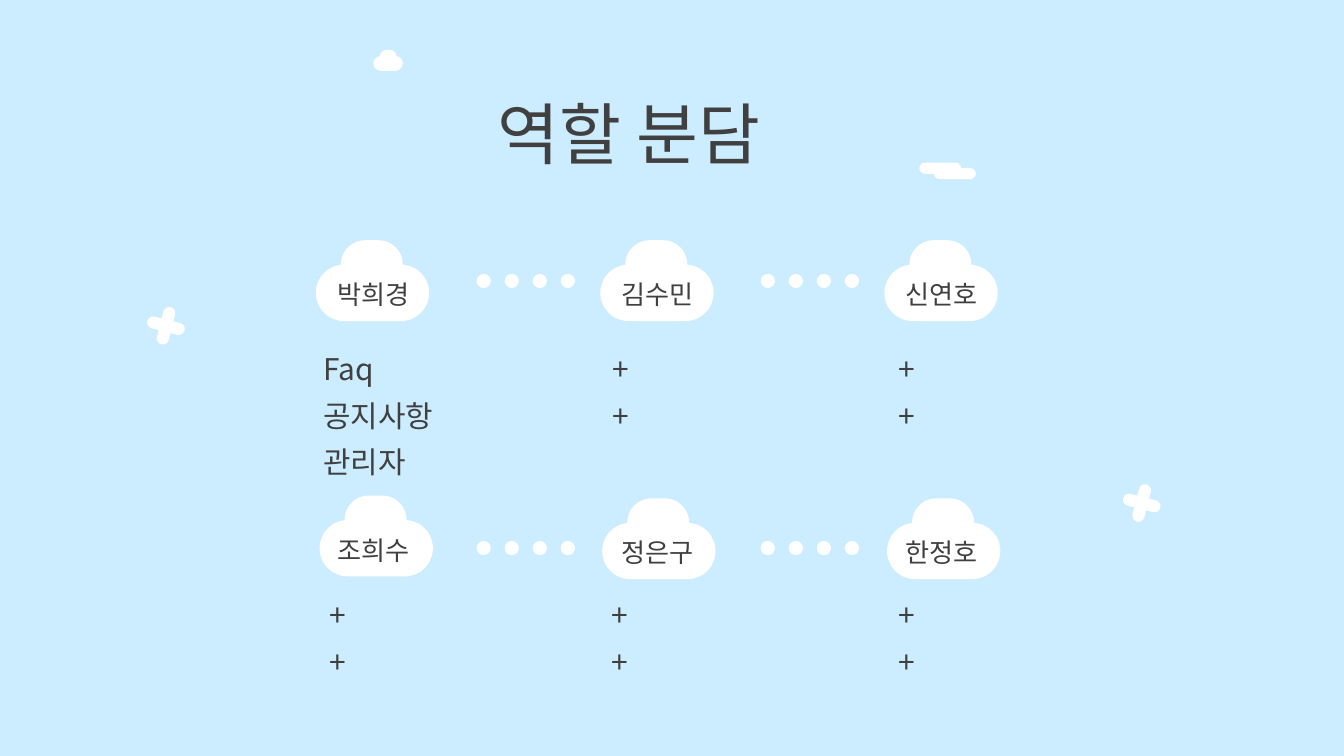
from dataclasses import dataclass

from lxml import etree
from pptx import Presentation
from pptx.dml.color import RGBColor
from pptx.enum.dml import MSO_LINE
from pptx.enum.shapes import MSO_CONNECTOR, MSO_SHAPE
from pptx.enum.text import MSO_AUTO_SIZE, PP_ALIGN
from pptx.oxml.ns import qn
from pptx.util import Pt

ROUNDED = MSO_SHAPE.ROUNDED_RECTANGLE
STRAIGHT = MSO_CONNECTOR.STRAIGHT
ROUND_DOT = MSO_LINE.ROUND_DOT
FIT_TEXT = MSO_AUTO_SIZE.SHAPE_TO_FIT_TEXT
LEFT, CENTER = PP_ALIGN.LEFT, PP_ALIGN.CENTER


@dataclass(frozen=True)
class Theme:
    sky: RGBColor = RGBColor(0xCC, 0xEC, 0xFF)
    cloud: RGBColor = RGBColor(0xFF, 0xFF, 0xFF)
    ink: RGBColor = RGBColor(0x40, 0x40, 0x40)
    font: str = "Noto Sans CJK KR"
    title_size: int = 36
    name_size: int = 14
    task_size: int = 16
    line_spacing: int = 25
    dot_size: float = 7.5


THEME = Theme()

TITLE = "역할 분담"

# Each member: name, cloud position, task list position, tasks
ROWS = [
    {
        "dots_y": 150.5,
        "tasks_y": 178.5,
        "members": [
            ("박희경", (169.2, 141.8), 166.3, ["Faq", "공지사항", "관리자"]),
            ("김수민", (321.6, 141.8), 321.1, ["+", "+"]),
            ("신연호", (473.8, 141.8), 474.5, ["+", "+"]),
        ],
    },
    {
        "dots_y": 293.8,
        "tasks_y": 310.3,
        "members": [
            ("조희수", (171.2, 278.6), 169.2, ["+", "+"]),
            ("정은구", (322.6, 280.1), 320.6, ["+", "+"]),
            ("한정호", (475.2, 280.1), 474.5, ["+", "+"]),
        ],
    },
]

# Sky decorations: left, top, width, height of each pill
SMALL_CLOUDS = [
    (200, 30, 15.8, 8),
    (203.6, 26.8, 8.8, 6.4),
    (500.4, 90, 22.4, 6),
    (492.5, 87.1, 22.4, 6),
]
STARS = [(85.7, 164.2), (608.4, 259.2)]
STAR_ARM = (6.5, 20.6)
STAR_TILT = 14.1

COLUMN_STEP = 152.2
NAMES_LEFT = 173.8
DOTS_LEFT, DOTS_LENGTH = 259.1, 55.4


def add_pill(page, left, top, width, height, rotation=0):
    pill = page.shapes.add_shape(ROUNDED, Pt(left), Pt(top), Pt(width), Pt(height))
    pill.adjustments[0] = 0.5
    pill.rotation = rotation
    pill.shadow.inherit = False
    pill.fill.solid()
    pill.fill.fore_color.rgb = THEME.cloud
    pill.line.fill.background()


def add_cloud(page, left, top):
    """Draw a name cloud; left and top are those of its wide lower part."""
    add_pill(page, left, top, 60.7, 30.2)
    add_pill(page, left + 13.4, top - 13.1, 33.2, 26)


def add_star(page, center_x, center_y):
    width, height = STAR_ARM
    for rotation in (STAR_TILT, STAR_TILT + 90):
        add_pill(page, center_x, center_y, width, height, rotation)


def add_dots(page, left, y):
    dots = page.shapes.add_connector(
        STRAIGHT, Pt(left), Pt(y), Pt(left + DOTS_LENGTH), Pt(y))
    dots.line.color.rgb = THEME.cloud
    dots.line.width = Pt(THEME.dot_size)
    dots.line.dash_style = ROUND_DOT
    dots.line._get_or_add_ln().set("cap", "rnd")
    etree.SubElement(dots._element.spPr, qn("a:effectLst"))


def add_text(page, lines, left, top, width, height, *, size, align=LEFT,
             spacing=None, wrap=False):
    box = page.shapes.add_textbox(Pt(left), Pt(top), Pt(width), Pt(height))
    frame = box.text_frame
    frame.word_wrap = wrap
    frame.auto_size = FIT_TEXT
    for index, line in enumerate(lines):
        para = frame.add_paragraph() if index else frame.paragraphs[0]
        para.alignment = align
        if spacing:
            para.line_spacing = Pt(spacing)
        span = para.add_run()
        span.text = line
        span.font.size = Pt(size)
        span.font.name = THEME.font
        span.font.color.rgb = THEME.ink
        properties = span.font._element
        etree.SubElement(properties, qn("a:ea")).set("typeface", THEME.font)


def add_member(page, column, tasks_y, name, cloud, tasks_x, tasks):
    add_cloud(page, *cloud)
    add_text(page, [name], NAMES_LEFT + column * COLUMN_STEP, cloud[1] - 4.3,
             54.7, 30.2, size=THEME.name_size, spacing=THEME.line_spacing, wrap=True)
    tasks_width = 25.9 if set(tasks) == {"+"} else 74.9
    tasks_height = 7.2 + len(tasks) * THEME.line_spacing
    add_text(page, tasks, tasks_x, tasks_y, tasks_width, tasks_height,
             size=THEME.task_size, spacing=THEME.line_spacing)


def main():
    deck = Presentation()
    deck.slide_width, deck.slide_height = Pt(720), Pt(405)
    page = deck.slides.add_slide(deck.slide_layouts[6])
    page.background.fill.solid()
    page.background.fill.fore_color.rgb = THEME.sky

    for star in STARS:
        add_star(page, *star)
    for pill in SMALL_CLOUDS:
        add_pill(page, *pill)
    add_text(page, [TITLE], 250.6, 46.1, 172.8, 51.1,
             size=THEME.title_size, align=CENTER)

    for row in ROWS:
        for column, member in enumerate(row["members"]):
            add_member(page, column, row["tasks_y"], *member)
        for gap in range(len(row["members"]) - 1):
            add_dots(page, DOTS_LEFT + gap * COLUMN_STEP, row["dots_y"])

    deck.save("out.pptx")


if __name__ == "__main__":
    main()
